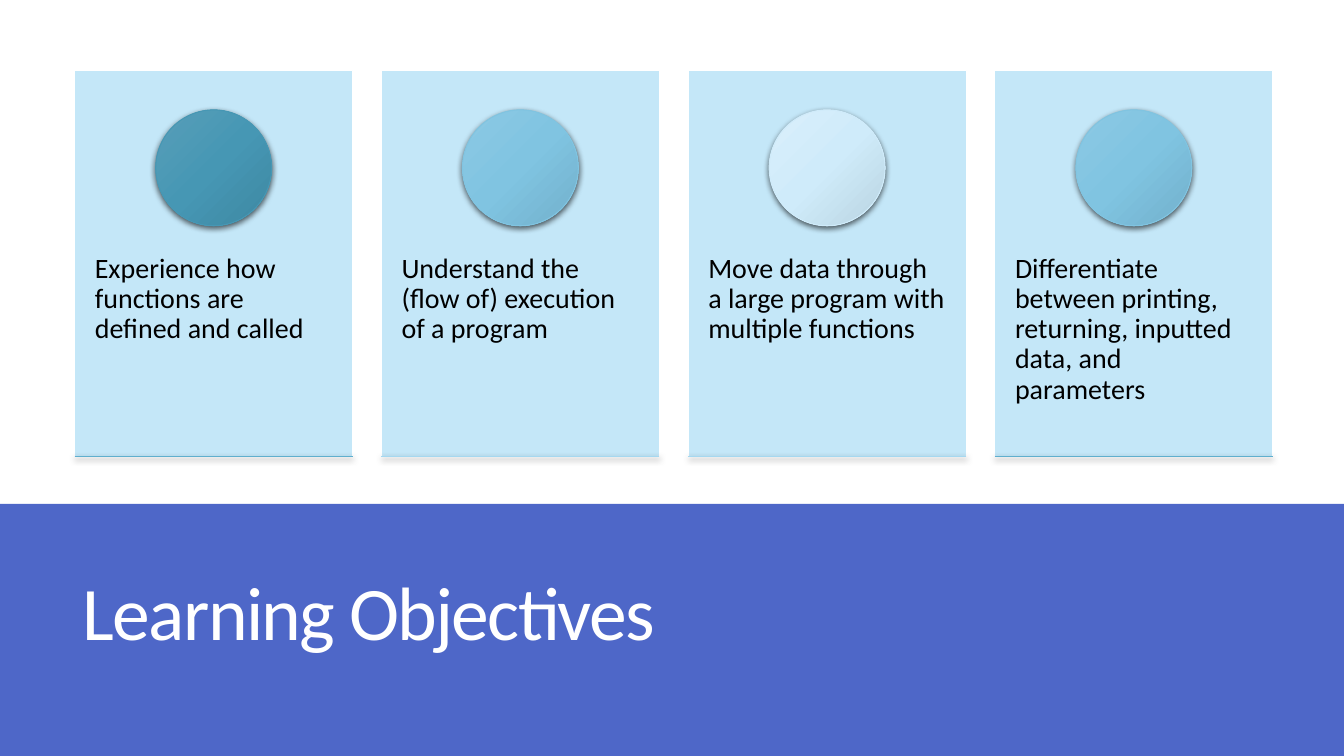
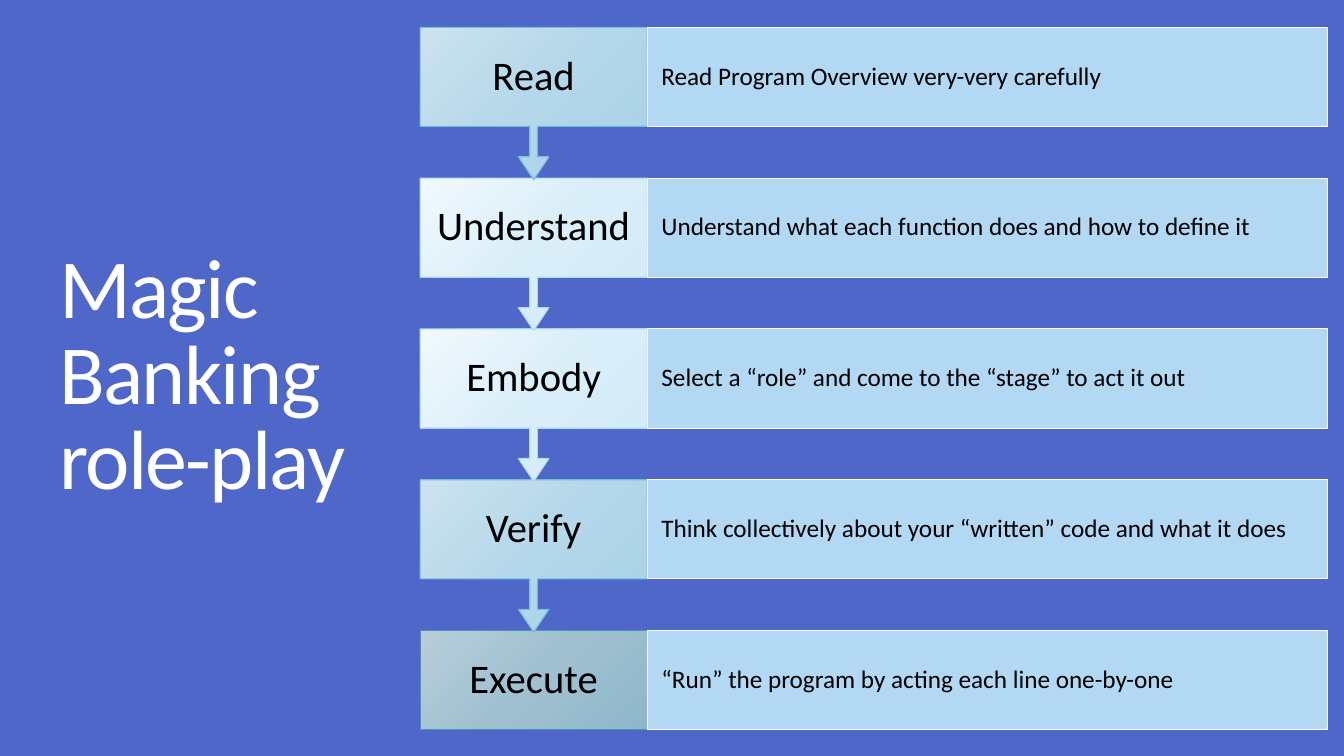
from lxml.etree import SubElement
from pptx import Presentation
from pptx.dml.color import RGBColor
from pptx.enum.shapes import MSO_CONNECTOR, MSO_SHAPE
from pptx.enum.text import MSO_ANCHOR, MSO_AUTO_SIZE, PP_ALIGN
from pptx.oxml import parse_xml
from pptx.oxml.ns import nsdecls, qn
from pptx.util import Cm, Pt

rgb = RGBColor.from_string
FONT = "Calibri"
INDIGO, SKY, WHITE, BLACK = "4E67C8", "BEE5F8", "FFFFFF", "000000"


def paint(sp, colours, line, alpha=100):
    sp.shadow.inherit = False
    sp.line.color.rgb = rgb(line)
    sp.line.width = Pt(0.75)
    if len(colours) == 1:
        sp.fill.solid()
        sp.fill.fore_color.rgb = rgb(colours[0])
        clr = sp.element.spPr.find(qn("a:solidFill")).find(qn("a:srgbClr"))
        if alpha < 100:
            SubElement(clr, qn("a:alpha"), val=str(alpha * 1000))
        return
    sp.fill.gradient()
    sp.fill.gradient_angle = 315
    stops = sp.element.spPr.find(qn("a:gradFill")).find(qn("a:gsLst"))
    for gs in list(stops):
        stops.remove(gs)
    for i, colour in enumerate(colours):
        gs = SubElement(stops, qn("a:gs"), pos=str(i * 50000))
        SubElement(gs, qn("a:srgbClr"), val=colour)


def write(sp, text, size, colour=BLACK, align=PP_ALIGN.LEFT,
          anchor=MSO_ANCHOR.MIDDLE, spacing=0.9, insets=None):
    tf = sp.text_frame
    tf.word_wrap = True
    tf.auto_size = MSO_AUTO_SIZE.NONE
    tf.vertical_anchor = anchor
    if insets:
        side, top = insets
        tf.margin_left = tf.margin_right = Cm(side)
        tf.margin_top, tf.margin_bottom = Cm(top), Cm(0)
    p = tf.paragraphs[0]
    p.alignment = align
    p.line_spacing = spacing
    r = p.add_run()
    r.text = text
    r.font.name = FONT
    r.font.size = Pt(size)
    r.font.color.rgb = rgb(colour)


prs = Presentation()
prs.slide_width, prs.slide_height = Cm(33.87), Cm(19.05)

titles = [
    ("Learning Objectives", 54, WHITE, (1.83, 13.26, 29.92, 4.6)),
    ("Magic Banking role-play", 60, INDIGO, (1.24, 1.9, 8.41, 15.27)),
]
slides = []
for text, size, background, box in titles:
    s = prs.slides.add_slide(prs.slide_layouts[5])
    s.background.fill.solid()
    s.background.fill.fore_color.rgb = rgb(background)
    title = s.shapes.title
    title.left, title.top, title.width, title.height = [Cm(v) for v in box]
    write(title, text, size, WHITE, spacing=0.85)
    for rPr in title.element.iter(qn("a:rPr")):
        rPr.set("spc", "-120")
    slides.append(s)
objectives, steps = slides

band = objectives.shapes.add_shape(
    MSO_SHAPE.RECTANGLE, 0, Cm(12.7), prs.slide_width, Cm(6.35))
paint(band, [INDIGO], INDIGO)
band.line.fill.background()
objectives.shapes.title.element.addprevious(band.element)

TEAL = ["589EB8", "4697B4", "3E88A2"]
BLUE = ["8CC9E4", "80C4E1", "72B0CC"]
PALE = ["D9EFFB", "CFEBFA", "B9D4E1"]
cards = [
    ("Experience how functions are defined and called", TEAL, "5FAFCE"),
    ("Understand the (flow of) execution of a program", BLUE, "A5D8F0"),
    ("Move data through a large program with multiple functions", PALE, "A5D8F0"),
    ("Differentiate between printing, returning, inputted data, and parameters",
     BLUE, "5FAFCE"),
]
CARD_TOP, CARD_W, CARD_H, CARD_PITCH, DISC = 1.78, 7.01, 9.73, 7.73, 2.92
for i, (text, colours, rule_colour) in enumerate(cards):
    x = 1.88 + i * CARD_PITCH
    card = objectives.shapes.add_shape(
        MSO_SHAPE.RECTANGLE, Cm(x), Cm(CARD_TOP), Cm(CARD_W), Cm(CARD_H))
    paint(card, [SKY], WHITE, 90)
    write(card, text, 20, anchor=MSO_ANCHOR.TOP, insets=(0.51, 4.62))

    disc = objectives.shapes.add_shape(
        MSO_SHAPE.OVAL, Cm(x + (CARD_W - DISC) / 2), Cm(2.77), Cm(DISC), Cm(DISC))
    paint(disc, colours, colours[1])
    disc.shadow.inherit = True

    y = Cm(CARD_TOP + CARD_H)
    rule = objectives.shapes.add_connector(
        MSO_CONNECTOR.STRAIGHT, Cm(x), y, Cm(x + CARD_W), y)
    rule.line.color.rgb = rgb(rule_colour)
    rule.line.width = Pt(0.75)
    for sp in (disc, rule):
        sp.element.spPr.append(parse_xml(
            f'<a:effectLst {nsdecls("a")}>'
            '<a:outerShdw blurRad="57150" dist="19050" dir="5400000" algn="ctr" rotWithShape="0">'
            f'<a:srgbClr val="{BLACK}"><a:alpha val="63000"/></a:srgbClr>'
            '</a:outerShdw></a:effectLst>'))

MIST = (["CCE3EF", "B4D7E9", "A7D2E7"], "72BCDA")
ICE = (["F1F9FD", "D9EEF9", "D1EBF8"], "ADDCF2")
STEEL = (["B7CEDA", "A0C0D0", "8EB7CB"], "4697B4")
rows = [
    ("Read", "Read Program Overview very-very carefully", MIST),
    ("Understand", "Understand what each function does and how to define it", ICE),
    ("Embody", "Select a “role” and come to the “stage” to act it out", ICE),
    ("Verify", "Think collectively about your “written” code and what it does", MIST),
    ("Execute", "“Run” the program by acting each line one-by-one", STEEL),
]
STEP_X, STEP_W, STEP_H, ROW_PITCH = 10.59, 5.72, 2.5, 3.8
for i, (name, detail, (colours, line)) in reversed(list(enumerate(rows))):
    y = 0.69 + i * ROW_PITCH
    last = i == len(rows) - 1
    step = steps.shapes.add_shape(
        MSO_SHAPE.RECTANGLE if last else MSO_SHAPE.DOWN_ARROW_CALLOUT,
        Cm(STEP_X), Cm(y), Cm(STEP_W), Cm(STEP_H if last else 3.84))
    if not last:
        for n, value in enumerate((0.05, 0.1, 0.15, 0.65)):
            step.adjustments[n] = value
    paint(step, colours, line)
    write(step, name, 29, align=PP_ALIGN.CENTER, insets=(0.3, 0))

    panel = steps.shapes.add_shape(
        MSO_SHAPE.RECTANGLE, Cm(STEP_X + STEP_W), Cm(y), Cm(17.15), Cm(STEP_H))
    paint(panel, [SKY], WHITE, 90)
    write(panel, detail, 18, insets=(0.36, 0))

prs.save("out.pptx")
